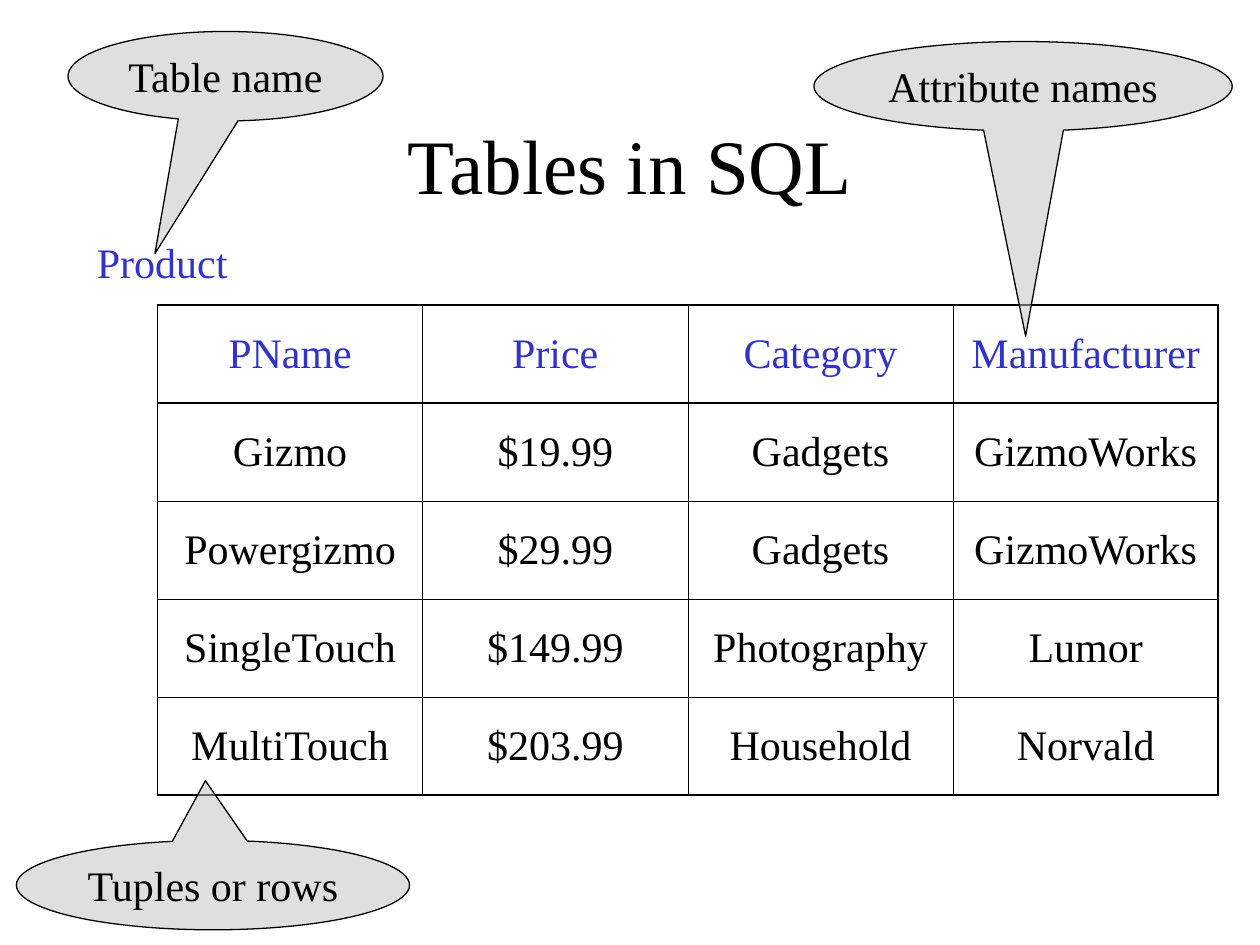
from lxml.etree import SubElement
from pptx import Presentation
from pptx.dml.color import RGBColor
from pptx.enum.shapes import MSO_SHAPE
from pptx.enum.text import MSO_ANCHOR, MSO_AUTO_SIZE, PP_ALIGN
from pptx.oxml.ns import qn
from pptx.util import Inches, Pt

COLORS = {"black": "000000", "blue": "3333CC", "gray": "C0C0C0"}


def set_text(tf, text, size, color, align):
    p = tf.paragraphs[0]
    p.text = text
    p.alignment = align
    p.font.name = "Times New Roman"
    p.font.size = Pt(size)
    p.font.color.rgb = RGBColor.from_string(COLORS[color])


def set_border(cell, side, width):
    ln = SubElement(cell._tc.get_or_add_tcPr(), qn(f"a:ln{side}"), w=str(Pt(width)))
    fill = SubElement(ln, qn("a:solidFill"))
    SubElement(fill, qn("a:srgbClr"), val=COLORS["black"])


prs = Presentation()
prs.slide_width = Inches(10)
prs.slide_height = Inches(7.5)
s = prs.slides.add_slide(prs.slide_layouts[6])

title = s.shapes.add_textbox(Inches(0.75), Inches(0.67), Inches(8.5), Inches(1.25))
title.text_frame.word_wrap = True
title.text_frame.vertical_anchor = MSO_ANCHOR.MIDDLE
set_text(title.text_frame, "Tables in SQL", 44, "black", PP_ALIGN.CENTER)

rows = [
    ["PName", "Price", "Category", "Manufacturer"],
    ["Gizmo", "$19.99", "Gadgets", "GizmoWorks"],
    ["Powergizmo", "$29.99", "Gadgets", "GizmoWorks"],
    ["SingleTouch", "$149.99", "Photography", "Lumor"],
    ["MultiTouch", "$203.99", "Household", "Norvald"],
]
n_rows, n_cols = len(rows), len(rows[0])
thick, thin = 1.08, 0.45
table = s.shapes.add_table(
    n_rows, n_cols, Inches(1.25), Inches(2.42), Inches(8.42), Inches(3.89)
).table
table.first_row = False
table.horz_banding = False
for i, row in enumerate(rows):
    for j, text in enumerate(row):
        cell = table.cell(i, j)
        cell.vertical_anchor = MSO_ANCHOR.MIDDLE
        color = "blue" if i == 0 else "black"
        set_text(cell.text_frame, text, 24, color, PP_ALIGN.CENTER)
        set_border(cell, "L", thick if j == 0 else thin)
        set_border(cell, "R", thick if j == n_cols - 1 else thin)
        set_border(cell, "T", thick if i <= 1 else thin)
        set_border(cell, "B", thick if i in (0, n_rows - 1) else thin)
        cell.fill.background()

name = s.shapes.add_textbox(Inches(0.67), Inches(1.83), Inches(1.25), Inches(0.5))
name.text_frame.word_wrap = False
name.text_frame.auto_size = MSO_AUTO_SIZE.SHAPE_TO_FIT_TEXT
set_text(name.text_frame, "Product", 24, "blue", PP_ALIGN.LEFT)

callouts = [
    ("Attribute names", 6.46, 0.33, 3.32, 0.006, 2.792),
    ("Table name", 0.54, 0.25, 2.5, -0.224, 1.984),
    ("Tuples or rows", 0.13, 6.67, 3.12, -0.019, -1.168),
]
for text, left, top, width, tip_x, tip_y in callouts:
    sp = s.shapes.add_shape(
        MSO_SHAPE.OVAL_CALLOUT, Inches(left), Inches(top), Inches(width), Inches(0.71)
    )
    sp.adjustments[0] = tip_x
    sp.adjustments[1] = tip_y
    sp.shadow.inherit = False
    sp.fill.solid()
    sp.fill.fore_color.rgb = RGBColor.from_string(COLORS["gray"])
    rgb = sp.fill._xPr.find(qn("a:solidFill")).find(qn("a:srgbClr"))
    SubElement(rgb, qn("a:alpha"), val="50000")
    sp.line.color.rgb = RGBColor.from_string(COLORS["black"])
    sp.line.width = Pt(0.75)
    sp.text_frame.word_wrap = False
    sp.text_frame.vertical_anchor = MSO_ANCHOR.TOP
    set_text(sp.text_frame, text, 24, "black", PP_ALIGN.CENTER)

prs.save("out.pptx")
